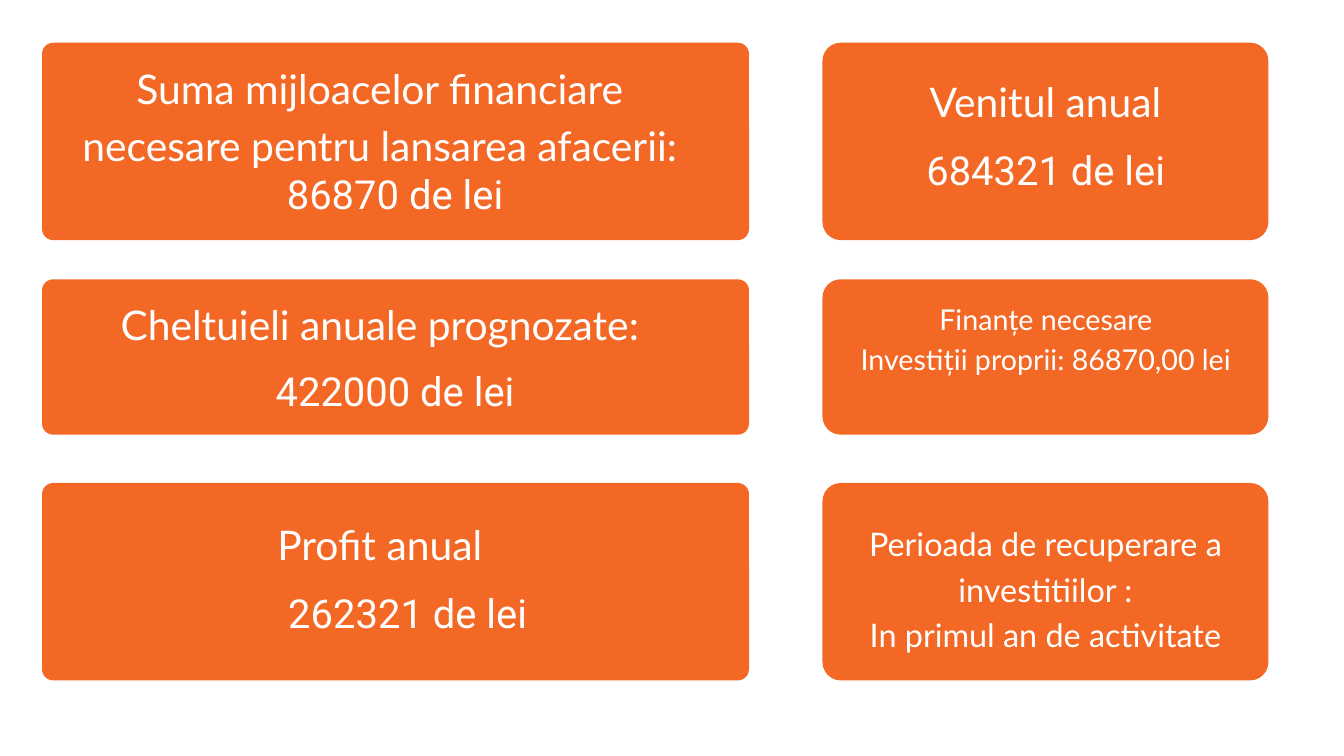
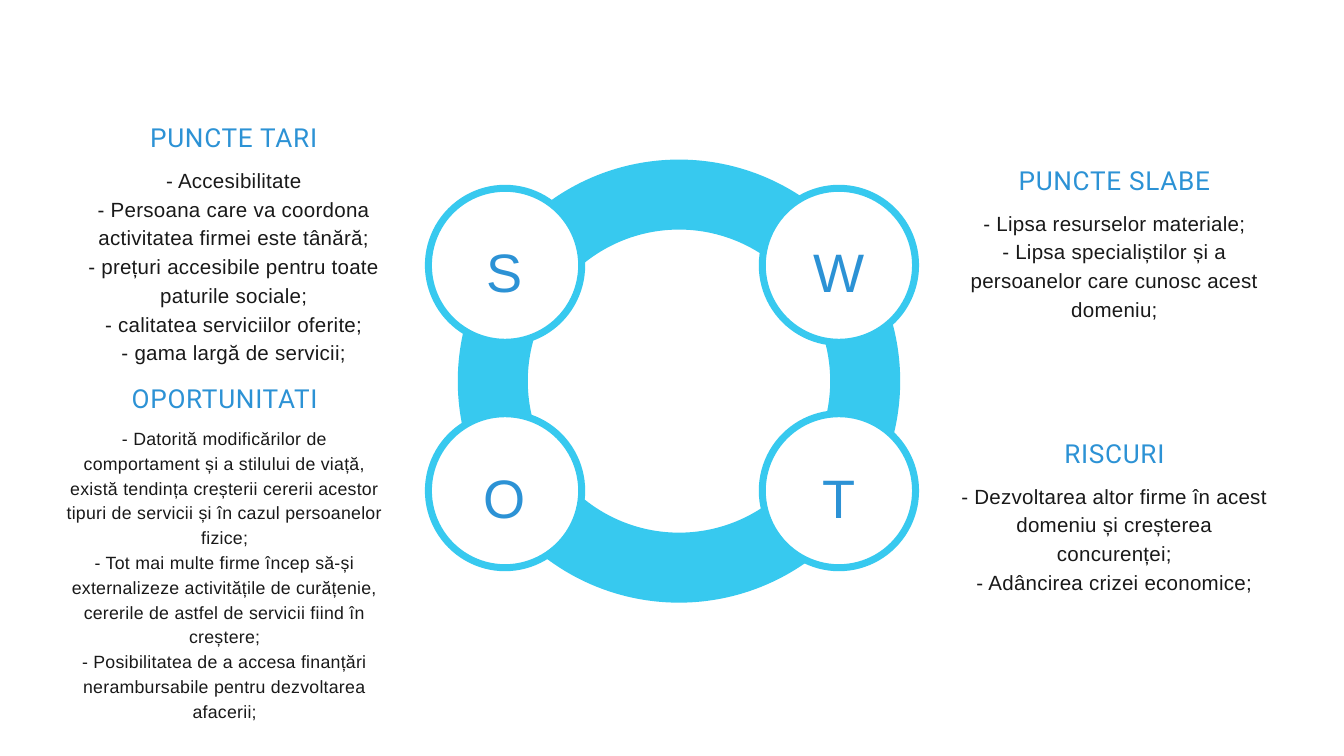
from pptx import Presentation
from pptx.dml.color import RGBColor
from pptx.enum.shapes import MSO_SHAPE
from pptx.enum.text import MSO_ANCHOR, PP_ALIGN
from pptx.util import Emu, Pt

PX = 9525
ORANGE = RGBColor(0xF3, 0x68, 0x25)
WHITE = RGBColor(0xFF, 0xFF, 0xFF)
CYAN = RGBColor(0x37, 0xC9, 0xEF)
BLUE = RGBColor(0x2C, 0x92, 0xD5)
INK = RGBColor(0x19, 0x19, 0x19)

LEFT = (60, 1010, 16)
RIGHT = (1175, 637, 26)
ROWS = ((61, 282), (399, 222), (690, 282))

LABELS = (
    ((87, 79, 911, 160), ("Suma mijloacelor financiare", "necesare pentru lansarea afacerii:"), 43.7),
    ((151, 416, 783, 80), ("Cheltuieli anuale prognozate:",), 43.7),
    ((386, 731, 313, 80), ("Profit anual",), 43.7),
    ((1316, 98, 355, 80), ("Venitul anual",), 43.7),
    ((1212, 423, 564, 169), ("Finanțe necesare", "Investiții proprii: 86870,00 lei"), 30.7),
    ((1221, 740, 545, 190), ("Perioada de recuperare a investitiilor :", "In primul an de activitate"), 34.7),
)
SUMS = (
    ((149, 231, 831, 77), "86870 de lei"),
    ((149, 512, 831, 77), "422000 de lei"),
    ((167, 830, 831, 77), "262321 de lei"),
    ((1284, 197, 420, 77), "684321 de lei"),
)
NOTES = (
    ((107, 170, 454, 284), "PUNCTE TARI", 22, (
        "- Accesibilitate",
        "- Persoana care va coordona activitatea firmei este tânără;",
        "- prețuri accesibile pentru toate paturile sociale;",
        "- calitatea serviciilor oferite;",
        "- gama largă de servicii;")),
    ((1372, 231, 440, 161), "PUNCTE SLABE", 22, (
        "- Lipsa resurselor materiale;",
        "- Lipsa specialiștilor și a persoanelor care cunosc acest domeniu;")),
    ((94, 542, 454, 418), "OPORTUNITATI", 19, (
        "- Datorită modificărilor de comportament și a stilului de viață, există tendința "
        "creșterii cererii acestor tipuri de servicii și în cazul persoanelor fizice;",
        "- Tot mai multe firme încep să-și externalizeze activitățile de curățenie, "
        "cererile de astfel de servicii fiind în creștere;",
        "- Posibilitatea de a accesa finanțări nerambursabile pentru dezvoltarea afacerii;")),
    ((1372, 621, 440, 161), "RISCURI", 22, (
        "- Dezvoltarea altor firme în acest domeniu și creșterea concurenței;",
        "- Adâncirea crizei economice;")),
)


def scale(box):
    """Turn px lengths into EMU."""
    return [Emu(n * PX) for n in box]


def add_text(slide, box, lines, size, face, color, lead=1.4, track=0, anchor=MSO_ANCHOR.TOP):
    """Add centred paragraphs whose line height is a multiple of the size."""
    frame = slide.shapes.add_textbox(*scale(box)).text_frame
    frame.word_wrap = True
    frame.vertical_anchor = anchor
    frame.margin_left = frame.margin_right = frame.margin_top = frame.margin_bottom = 0
    frame.text = "\n".join(lines)
    for para in frame.paragraphs:
        para.alignment = PP_ALIGN.CENTER
        para.line_spacing = Pt(round(size * lead, 1))
        for run in para.runs:
            run.font.size = Pt(size)
            run.font.name = face
            run.font.color.rgb = color
            if track:
                run._r.get_or_add_rPr().set("spc", str(track))


def add_form(slide, kind, box, fill):
    """Add a plain filled shape without a line."""
    form = slide.shapes.add_shape(kind, *scale(box))
    form.shadow.inherit = False
    form.fill.solid()
    form.fill.fore_color.rgb = fill
    form.line.fill.background()
    return form


def add_card(slide, box, radius):
    """Add an orange card with a fixed corner radius."""
    card = add_form(slide, MSO_SHAPE.ROUNDED_RECTANGLE, box, ORANGE)
    card.adjustments[0] = radius / min(box[2:])


def add_ring(slide, box, width):
    """Add a white disc with a cyan rim."""
    ring = add_form(slide, MSO_SHAPE.OVAL, box, WHITE)
    ring.line.color.rgb = CYAN
    ring.line.width = Pt(width)


def add_badge(slide, left, top, letter):
    """Add a ringed letter."""
    add_ring(slide, (left, top, 219, 220), 7.5)
    add_text(slide, (left + 20, top + 52, 179, 148), (letter,), 58, "Arial", BLUE,
             lead=1, anchor=MSO_ANCHOR.MIDDLE)


def add_note(slide, box, head, size, lines):
    """Add a heading with its list below."""
    left, top, width, height = box
    add_text(slide, (left, top, width, 46), (head,), 28, "Roboto", BLUE, lead=1.3, track=80)
    add_text(slide, (left, top + 64, width, height), lines, size, "Arial", INK, track=30)


def build_money(slide):
    """Lay out the cards of sums."""
    for left, width, radius in (LEFT, RIGHT):
        for top, height in ROWS:
            add_card(slide, (left, top, width, height), radius)
    for box, lines, size in LABELS:
        add_text(slide, box, lines, size, "Lato", WHITE)
    for box, line in SUMS:
        add_text(slide, box, (line,), 42.8, "Roboto", WHITE)


def build_swot(slide):
    """Lay out the SWOT ring and its four notes."""
    add_ring(slide, (704, 278, 532, 533), 75)
    for i, letter in enumerate("SWOT"):
        row, col = divmod(i, 2)
        add_badge(slide, 612 + 477 * col, 269 + 322 * row, letter)
    for note in NOTES:
        add_note(slide, *note)


def main():
    """Build and save the deck."""
    deck = Presentation()
    deck.slide_width, deck.slide_height = scale((1920, 1080))
    blank = deck.slide_layouts[6]
    for build in (build_money, build_swot):
        build(deck.slides.add_slide(blank))
    deck.save("out.pptx")


if __name__ == "__main__":
    main()
